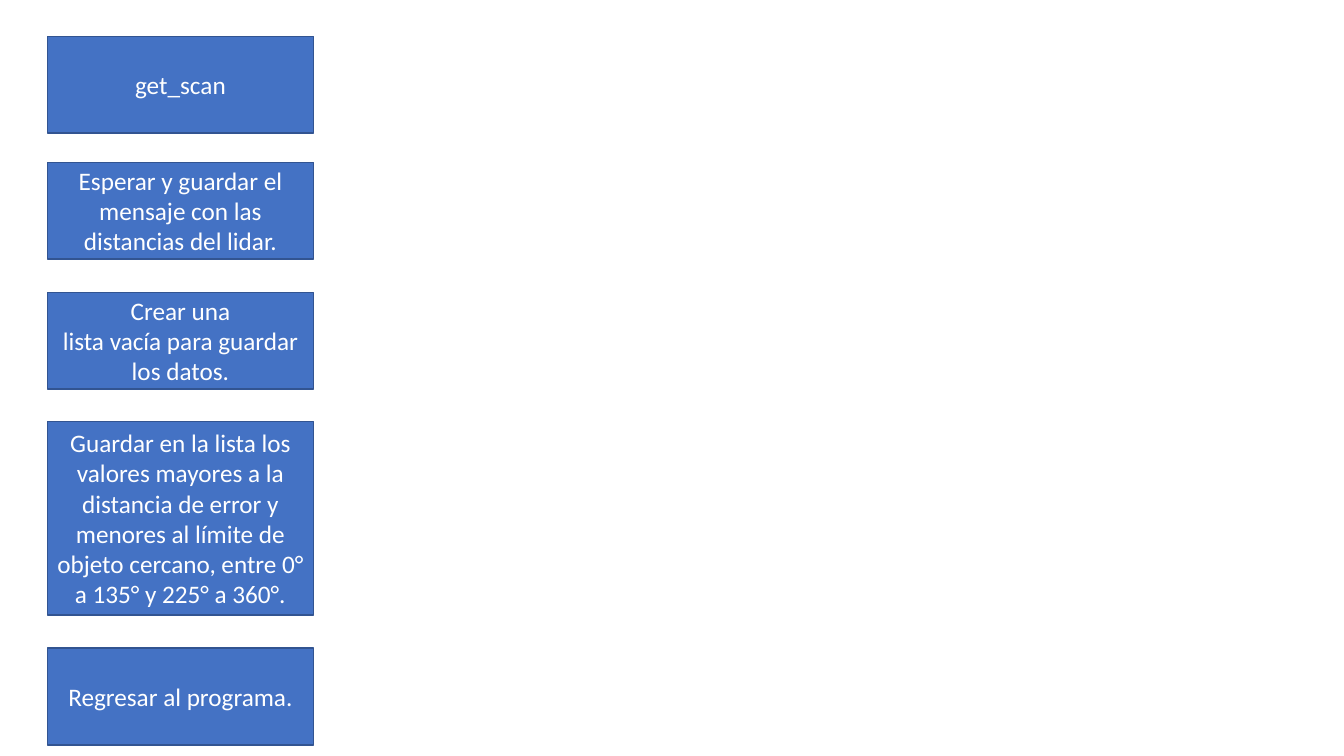
from dataclasses import dataclass

from pptx import Presentation, util as u
from pptx.dml.color import RGBColor
from pptx.enum import shapes, text

SLIDE_WIDTH, SLIDE_HEIGHT = u.Inches(13.33), u.Inches(7.5)
COLUMN, ROW = SLIDE_WIDTH / 1333, SLIDE_HEIGHT / 750
STEP_LEFT, STEP_COLUMNS, STEP_ROWS = 47, 264, 96


@dataclass(frozen=True)
class Step:
    """One box of the flow, with the rows of space above it and its height in steps."""
    wording: str
    gap_rows: int
    units: int = 1


STEPS = [
    Step("get_scan", 36),
    Step("Esperar y guardar el mensaje con las distancias del lidar.", 29),
    Step("Crear una lista\u00a0vacía\u00a0para guardar los datos.", 33),
    Step("Guardar en la lista los valores mayores a la distancia de error y "
         "menores al límite de objeto cercano, entre 0° a 135° y 225° a 360°.", 32, 2),
    Step("Regresar al programa.", 33),
]


def color(value: str) -> RGBColor:
    """Turn a hex string into a colour."""
    return RGBColor.from_string(value)


def draw_step(slide, step: Step, top: int) -> int:
    """Draw a step box at the given row and return the row of its bottom edge."""
    rows = step.units * STEP_ROWS
    shape = slide.shapes.add_shape(
        shapes.MSO_SHAPE.RECTANGLE, round(STEP_LEFT * COLUMN), round(top * ROW),
        round(STEP_COLUMNS * COLUMN), round(rows * ROW))
    shape.shadow.inherit = False
    shape.fill.solid()
    shape.fill.fore_color.rgb = color("4472C4")
    shape.line.color.rgb = color("325491")
    shape.line.width = u.Pt(1)
    frame = shape.text_frame
    frame.word_wrap = True
    frame.vertical_anchor = text.MSO_ANCHOR.MIDDLE
    paragraph = frame.paragraphs[0]
    paragraph.alignment = text.PP_ALIGN.CENTER
    run = paragraph.add_run()
    run.text = step.wording
    run.font.name = "Calibri"
    run.font.size = u.Pt(18)
    run.font.color.rgb = color("FFFFFF")
    return top + rows


def main() -> None:
    """Build the slide and save it."""
    presentation = Presentation()
    presentation.slide_width, presentation.slide_height = SLIDE_WIDTH, SLIDE_HEIGHT
    slide = presentation.slides.add_slide(presentation.slide_layouts[6])
    bottom = 0
    for step in STEPS:
        bottom = draw_step(slide, step, bottom + step.gap_rows)
    presentation.save("out.pptx")


main()
